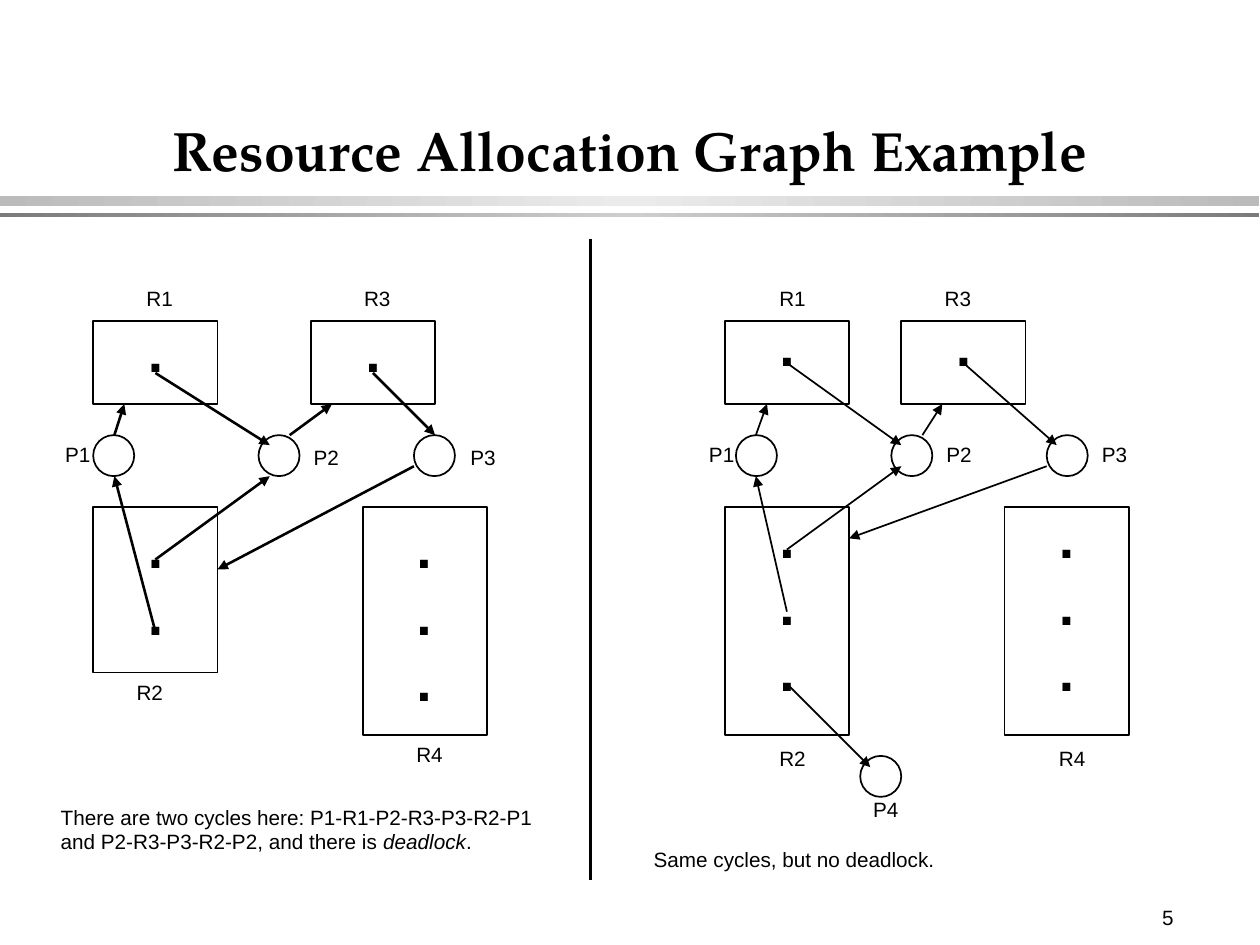
from copy import deepcopy
from dataclasses import dataclass

from pptx import Presentation
from pptx.dml.color import RGBColor
from pptx.enum.shapes import MSO_CONNECTOR as Link, MSO_SHAPE as Form
from pptx.enum.text import MSO_ANCHOR as Anchor, MSO_AUTO_SIZE as Fit, PP_ALIGN as Align
from pptx.oxml.ns import qn
from pptx.oxml.xmlchemy import OxmlElement
from pptx.util import Inches, Pt

COLORS = {
    "ink": "000000",
    "pale": "BBBBBB", "light": "EBEBEB",
    "dark": "7B7B7B", "mid": "CECECE",
}
SANS, SERIF = "Arial", "TeX Gyre Pagella"
THIN, BOLD, WALL = 0.99, 1.5, 2.24
WIDE, RING = 1, 0.33  # resource width, process diameter
PITCH = 0.53          # line height of the dots

Point = tuple[float, float]


@dataclass
class Resource:
    name: str
    spot: Point
    high: float
    label: Point
    dots: Point
    count: int = 1


@dataclass
class Process:
    name: str
    spot: Point
    label: Point


@dataclass
class Graph:
    stores: list[Resource]
    tasks: list[Process]
    edges: list[tuple[Point, Point]]
    weight: float


def color(name: str) -> RGBColor:
    return RGBColor.from_string(COLORS[name])


def style(para, size: float, face: str = SANS, bold: bool = False, align=Align.CENTER) -> None:
    para.alignment = align
    font = para.font
    font.size, font.name, font.bold = Pt(size), face, bold
    font.color.rgb = color("ink")


def write(lines: list[str], spot: Point, wide: float, high: float, size: float = 12,
          bold: bool = False, align=Align.CENTER, anchor=Anchor.MIDDLE):
    box = slide.shapes.add_textbox(*map(Inches, (*spot, wide, high)))
    frame = box.text_frame
    frame.word_wrap, frame.auto_size = False, Fit.SHAPE_TO_FIT_TEXT
    frame.vertical_anchor = anchor
    frame.text = "\n".join(lines)
    for para in frame.paragraphs:
        style(para, size, bold=bold, align=align)
    return frame


def tag(name: str, spot: Point) -> None:
    write([name], spot, 0.41, 0.3)


def outline(form, spot: Point, wide: float, high: float) -> None:
    shape = slide.shapes.add_shape(form, *map(Inches, (*spot, wide, high)))
    shape.shadow.inherit = False
    shape.fill.background()
    shape.line.color.rgb, shape.line.width = color("ink"), Pt(THIN)


def band(top: float, high: float, edge: str, core: str) -> None:
    shape = slide.shapes.add_shape(Form.RECTANGLE, *map(Inches, (0, top, 10.13, high)))
    shape.shadow.inherit = False
    shape.line.fill.background()
    shape.fill.gradient()
    shape.fill.gradient_angle = 180
    stops = next(shape.element.iter(qn("a:gsLst")))
    stops.append(deepcopy(stops[0]))
    for stop, place, tone in zip(shape.fill.gradient_stops, (0, 0.5, 1), (edge, core, edge)):
        stop.position = place
        stop.color.rgb = color(tone)


def connect(start: Point, end: Point, weight: float, arrow: bool = True) -> None:
    line = slide.shapes.add_connector(Link.STRAIGHT, *map(Inches, (*start, *end)))
    line.line.color.rgb, line.line.width = color("ink"), Pt(weight)
    props = line.element.spPr
    if arrow:
        tip = OxmlElement("a:tailEnd")
        tip.set("type", "triangle")
        props.find(qn("a:ln")).append(tip)
    props.append(OxmlElement("a:effectLst"))


def draw(graph: Graph) -> None:
    for store in graph.stores:
        outline(Form.RECTANGLE, store.spot, WIDE, store.high)
        write(["."] * store.count, store.dots, 0.32, 0.11 + PITCH * store.count, 32, True)
        tag(store.name, store.label)
    for task in graph.tasks:
        outline(Form.OVAL, task.spot, RING, RING)
        tag(task.name, task.label)
    for start, end in graph.edges:
        connect(start, end, graph.weight)


locked = Graph(
    stores=[
        Resource("R1", (0.75, 2.58), 0.67, (1.08, 2.25), (1.09, 2.5)),
        Resource("R3", (2.5, 2.58), 0.67, (2.83, 2.25), (2.84, 2.5)),
        Resource("R2", (0.75, 4.08), 1.33, (1, 5.42), (1.09, 4.08), 2),
        Resource("R4", (2.92, 4.08), 1.83, (3.25, 5.92), (3.25, 4.08), 3),
    ],
    tasks=[
        Process("P1", (0.75, 3.5), (0.42, 3.5)),
        Process("P2", (2.08, 3.5), (2.42, 3.53)),
        Process("P3", (3.33, 3.5), (3.68, 3.53)),
    ],
    edges=[
        ((1.25, 5.08), (0.92, 3.83)),
        ((0.92, 3.5), (1, 3.25)),
        ((1.25, 4.5), (2.17, 3.83)),
        ((1.25, 3), (2.17, 3.58)),
        ((2.33, 3.5), (2.67, 3.25)),
        ((3, 3), (3.5, 3.5)),
        ((3.33, 3.75), (1.75, 4.58)),
    ],
    weight=BOLD,
)
free = Graph(
    stores=[
        Resource("R1", (5.83, 2.58), 0.67, (6.17, 2.25), (6.17, 2.45)),
        Resource("R3", (7.25, 2.58), 0.67, (7.5, 2.25), (7.59, 2.45)),
        Resource("R2", (5.83, 4.08), 1.83, (6.17, 5.95), (6.17, 4), 3),
        Resource("R4", (8.08, 4.08), 1.83, (8.42, 5.95), (8.42, 4), 3),
    ],
    tasks=[
        Process("P1", (5.92, 3.5), (5.6, 3.5)),
        Process("P2", (7.17, 3.5), (7.51, 3.5)),
        Process("P3", (8.42, 3.5), (8.76, 3.5)),
        Process("P4", (6.92, 6.08), (6.92, 6.36)),
    ],
    edges=[
        ((6.33, 4.92), (6.08, 3.83)),
        ((6.08, 3.5), (6.17, 3.25)),
        ((6.33, 4.42), (7.25, 3.75)),
        ((6.33, 2.92), (7.25, 3.58)),
        ((7.42, 3.5), (7.58, 3.25)),
        ((7.75, 2.92), (8.5, 3.58)),
        ((8.42, 3.75), (6.83, 4.33)),
        ((6.33, 5.5), (7, 6.17)),
    ],
    weight=THIN,
)

# Page of 10.14 by 7.6 inches, exact in quarter points
deck = Presentation()
deck.slide_width, deck.slide_height = Pt(729.75), Pt(547.25)
slide = deck.slides.add_slide(deck.slide_layouts[5])

# Title and bands
title = slide.shapes.title
title.left, title.top, title.width, title.height = map(Inches, (0.76, 0.25, 8.62, 1.27))
head = title.text_frame
head.text = "Resource Allocation Graph Example"
head.vertical_anchor, head.auto_size = Anchor.BOTTOM, Fit.NONE
style(head.paragraphs[0], 32, SERIF, True)
band(1.58, 0.08, "pale", "light")
band(1.71, 0.04, "dark", "mid")

# Graphs and the wall between them
connect((4.75, 1.92), (4.75, 7.08), WALL, arrow=False)
draw(locked)
draw(free)

# Captions and page number
note = write(["There are two cycles here: P1-R1-P2-R3-P3-R2-P1",
              "and P2-R3-P3-R2-P2, and there is "], (0.39, 6.42), 4, 0.5, align=Align.LEFT)
for text, slant in (("deadlock", True), (".", False)):
    run = note.paragraphs[1].add_run()
    run.text, run.font.italic = text, slant
write(["Same cycles, but no deadlock."], (5.16, 6.76), 2.46, 0.3, align=Align.LEFT)
write(["5"], (9.25, 7.23), 0.97, 0.3, align=Align.LEFT, anchor=Anchor.TOP)

deck.save("out.pptx")
